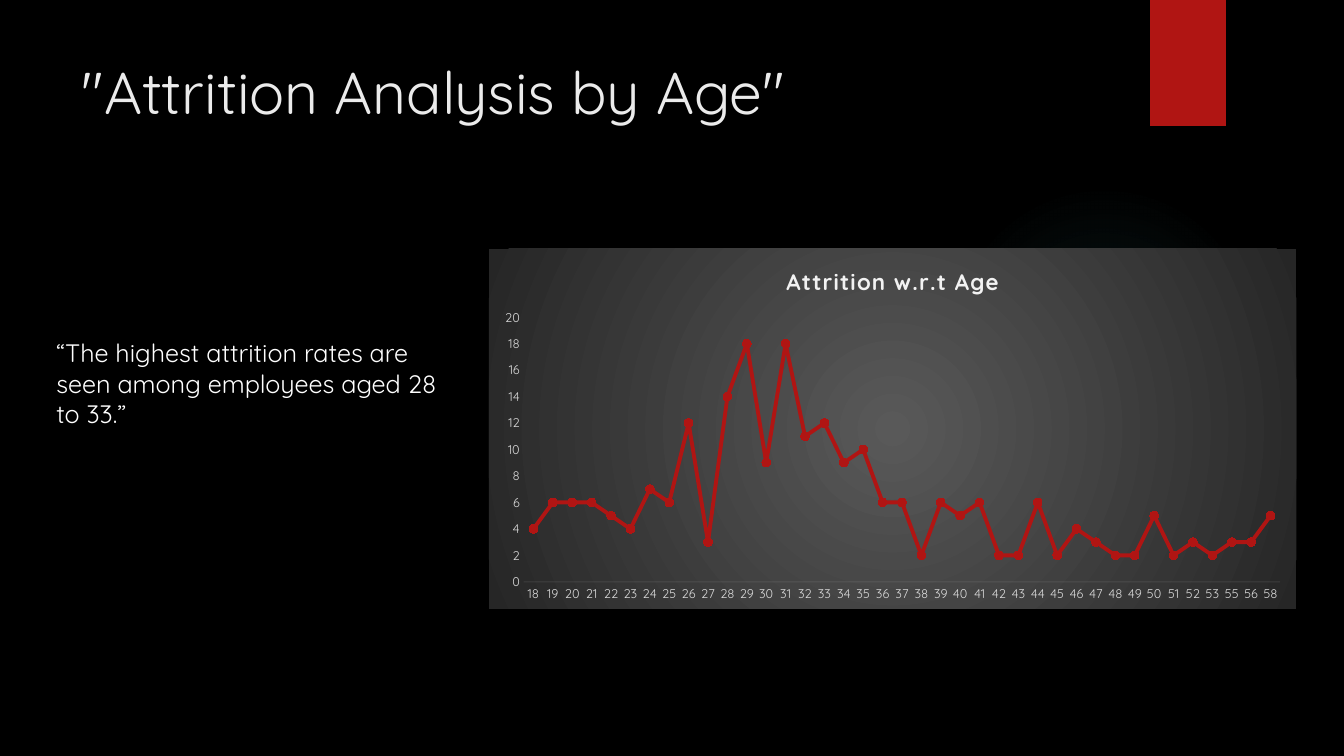
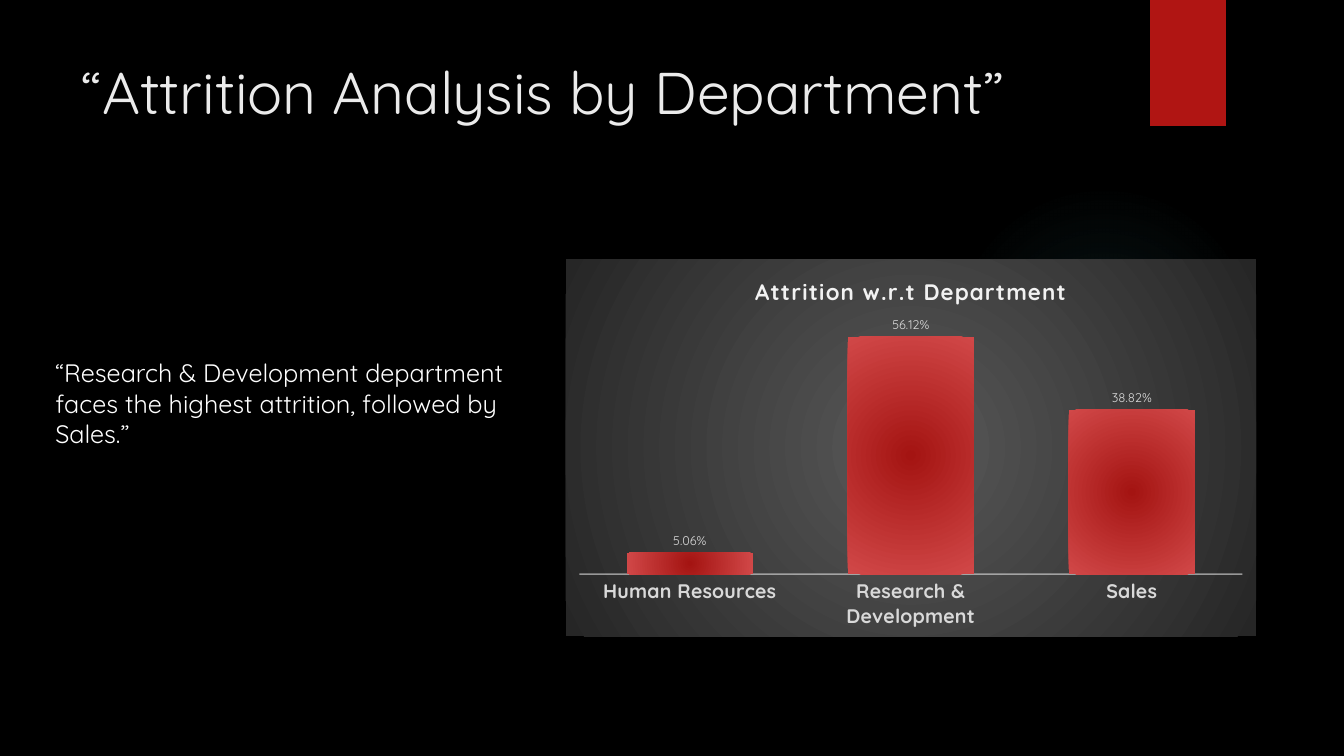
"""Build two attrition slides, each with a title, a remark and a chart."""
from lxml import etree
from pptx import Presentation
from pptx.chart.data import CategoryChartData
from pptx.dml.color import RGBColor
from pptx.enum.chart import XL_CHART_TYPE, XL_LABEL_POSITION, XL_MARKER_STYLE, XL_TICK_MARK
from pptx.enum.shapes import MSO_SHAPE
from pptx.enum.text import MSO_ANCHOR, MSO_AUTO_SIZE, PP_ALIGN
from pptx.oxml.ns import qn
from pptx.util import Inches, Pt

BLACK = RGBColor(0x00, 0x00, 0x00)
WHITE = RGBColor(0xFF, 0xFF, 0xFF)
TITLE_GREY = RGBColor(0xEB, 0xEB, 0xEB)
HEADING_GREY = RGBColor(0xF2, 0xF2, 0xF2)
LABEL_GREY = RGBColor(0xD9, 0xD9, 0xD9)
PANEL_INNER = RGBColor(0x59, 0x59, 0x59)
PANEL_OUTER = RGBColor(0x26, 0x26, 0x26)
RED = RGBColor(0xB0, 0x15, 0x13)
DARK_RED = RGBColor(0xA4, 0x14, 0x12)
LIGHT_RED = RGBColor(0xD1, 0x48, 0x48)
TEAL = RGBColor(0x50, 0xB9, 0xC1)

LINE = XL_CHART_TYPE.LINE_MARKERS
COLUMN = XL_CHART_TYPE.COLUMN_CLUSTERED
CIRCLE = XL_MARKER_STYLE.CIRCLE
NO_TICK = XL_TICK_MARK.NONE
OUTSIDE = XL_LABEL_POSITION.OUTSIDE_END
RECT, OVAL = MSO_SHAPE.RECTANGLE, MSO_SHAPE.OVAL
TOP, LEFT = MSO_ANCHOR.TOP, PP_ALIGN.LEFT
FIXED, GROW = MSO_AUTO_SIZE.NONE, MSO_AUTO_SIZE.SHAPE_TO_FIT_TEXT

FONT = "Quicksand"
TITLE_ONLY = 5
WIDTH, HEIGHT = Inches(13.33), Inches(7.5)
TITLE_BOX = (5.33, 6.67, 77.18, 20.4)
GLOW_BOX = (70.58, 24.4, 23.1, 41.07)
BAND_BOX = (85.58, 0, 5.63, 16.67)

AGES = [str(age) for age in range(18, 59) if age not in (54, 57)]
AGE_COUNTS = [4, 6, 6, 6, 5, 4, 7, 6, 12, 3, 14, 18, 9, 18, 11, 12, 9, 10, 6, 6,
              2, 6, 5, 6, 2, 2, 6, 2, 4, 3, 2, 2, 5, 2, 3, 2, 3, 3, 5]
DEPARTMENTS = ["Human Resources", "Research & Development", "Sales"]
DEPARTMENT_SHARES = [0.0506, 0.5612, 0.3882]


def set_attrs(obj, **values):
    """Set every given attribute on an object."""
    for name, value in values.items():
        setattr(obj, name, value)


def set_font(font, size, color, bold=False):
    """Apply the deck's typeface with a size, colour and weight."""
    set_attrs(font, name=FONT, size=Pt(size), bold=bold)
    font.color.rgb = color


def box(left, top, width, height):
    """Turn percentages of the slide into a rectangle."""
    return [int(WIDTH * left / 100), int(HEIGHT * top / 100),
            int(WIDTH * width / 100), int(HEIGHT * height / 100)]


def add_alpha(color, percent):
    """Make a colour element partly transparent."""
    etree.SubElement(color, qn("a:alpha")).set("val", str(percent * 1000))


def radial_gradient(stops, focus=50):
    """Return a circular gradient fill from (position, colour, opacity) stops."""
    grad = etree.Element(qn("a:gradFill"), rotWithShape="1")
    stop_list = etree.SubElement(grad, qn("a:gsLst"))
    for position, color, opacity in stops:
        gs = etree.SubElement(stop_list, qn("a:gs"), pos=str(position * 1000))
        add_alpha(etree.SubElement(gs, qn("a:srgbClr"), val=str(color)), opacity)
    route = etree.SubElement(grad, qn("a:path"))
    route.set("path", "circle")
    edges = {edge: str(focus * 1000) for edge in "ltrb"}
    etree.SubElement(route, qn("a:fillToRect"), **edges)
    return grad


def fill_radial(fill, parent, stops, focus=50):
    """Give the fill of a shape or series a circular gradient."""
    fill.background()
    no_fill = parent.find(qn("c:spPr") + "/" + qn("a:noFill"))
    if no_fill is None:
        no_fill = parent.find(qn("p:spPr") + "/" + qn("a:noFill"))
    no_fill.getparent().replace(no_fill, radial_gradient(stops, focus))


def add_plain_shape(slide, kind, area):
    """Add a preset shape without line or shadow."""
    sp = slide.shapes.add_shape(kind, *box(*area))
    sp.shadow.inherit = False
    sp.line.fill.background()
    return sp


def decorate_layout(layout, slide):
    """Place the glow, the red band and the title area on the layout."""
    glow = add_plain_shape(slide, OVAL, GLOW_BOX)
    fill_radial(glow.fill, glow._element, [(0, TEAL, 7), (36, TEAL, 6), (69, TEAL, 0)])
    band = add_plain_shape(slide, RECT, BAND_BOX)
    band.fill.solid()
    band.fill.fore_color.rgb = RED
    for number, sp in enumerate((glow, band)):
        sp._element.nvSpPr.cNvPr.set("id", str(100 + number))
        layout.shapes._spTree.insert(2 + number, sp._element)
    left, top, width, height = box(*TITLE_BOX)
    set_attrs(layout.placeholders[0], left=left, top=top, width=width, height=height)


def add_title(slide, text):
    """Fill and format the title placeholder."""
    tf = slide.shapes.title.text_frame
    set_attrs(tf, text=text, vertical_anchor=TOP, auto_size=FIXED, word_wrap=True)
    p = tf.paragraphs[0]
    p.alignment = LEFT
    set_font(p.runs[0].font, 42, TITLE_GREY)


def add_remark(slide, text, area):
    """Add the remark beside the chart."""
    tf = slide.shapes.add_textbox(*box(*area)).text_frame
    set_attrs(tf, text=text, word_wrap=True, auto_size=GROW)
    set_font(tf.paragraphs[0].runs[0].font, 18, WHITE)


def add_panel_chart(slide, kind, area, heading, categories, values):
    """Add a one-series chart with a heading on a grey gradient panel."""
    data = CategoryChartData()
    data.categories = categories
    data.add_series("Series 1", values)
    chart = slide.shapes.add_chart(kind, *box(*area), data).chart
    set_font(chart.font, 10, WHITE)
    set_attrs(chart, has_legend=False, has_title=True)
    chart.chart_title.include_in_layout = False
    tf = chart.chart_title.text_frame
    tf.text = heading
    r = tf.paragraphs[0].runs[0]
    set_font(r.font, 16, HEADING_GREY, True)
    r._r.get_or_add_rPr().set("spc", "100")
    panel = etree.Element(qn("c:spPr"))
    panel.append(radial_gradient([(0, PANEL_INNER, 100), (100, PANEL_OUTER, 100)]))
    etree.SubElement(etree.SubElement(panel, qn("a:ln")), qn("a:noFill"))
    chart._chartSpace.find(qn("c:chart")).addnext(panel)
    chart.plots[0].vary_by_categories = False
    return chart


def format_category_axis(axis, size, bold, width, opacity):
    """Style the category labels and the faint axis line."""
    set_attrs(axis, major_tick_mark=NO_TICK, has_major_gridlines=False)
    set_font(axis.tick_labels.font, size, LABEL_GREY, bold)
    line = axis.format.line
    line.width = Pt(width)
    line.color.rgb = HEADING_GREY
    add_alpha(next(axis._element.find(qn("c:spPr")).iter(qn("a:srgbClr"))), opacity)


def format_value_axis(axis, top, step, visible):
    """Set the value scale, without gridlines or line."""
    set_attrs(axis, minimum_scale=0, maximum_scale=top, major_unit=step,
              major_tick_mark=NO_TICK, has_major_gridlines=False, visible=visible)
    set_font(axis.tick_labels.font, 9, LABEL_GREY)
    axis.format.line.fill.background()


def add_age_chart(slide):
    """Add the line chart of attrition by age."""
    chart = add_panel_chart(slide, LINE, (36.38, 32.93, 60.08, 47.6),
                            "Attrition w.r.t Age", AGES, AGE_COUNTS)
    format_category_axis(chart.category_axis, 9, False, 0.75, 10)
    format_value_axis(chart.value_axis, 20, 2, True)
    series = chart.plots[0].series[0]
    series.smooth = False
    series.format.line.width = Pt(2.75)
    series.format.line.color.rgb = RED
    set_attrs(series.marker, style=CIRCLE, size=6)
    series.marker.format.fill.solid()
    series.marker.format.fill.fore_color.rgb = RED
    series.marker.format.line.fill.background()


def add_department_chart(slide):
    """Add the column chart of attrition by department."""
    chart = add_panel_chart(slide, COLUMN, (42.08, 34.27, 51.38, 49.87),
                            "Attrition w.r.t Department", DEPARTMENTS, DEPARTMENT_SHARES)
    format_category_axis(chart.category_axis, 14, True, 1, 54)
    format_value_axis(chart.value_axis, 0.6, 0.1, False)
    plot = chart.plots[0]
    set_attrs(plot, gap_width=75, has_data_labels=True)
    set_attrs(plot.data_labels, show_value=True, number_format="0.00%",
              number_format_is_linked=False, position=OUTSIDE)
    set_font(plot.data_labels.font, 9, LABEL_GREY)
    series = plot.series[0]
    fill_radial(series.format.fill, series._element,
                [(0, DARK_RED, 100), (100, LIGHT_RED, 100)], 100)


def main():
    """Build and save the presentation."""
    prs = Presentation()
    set_attrs(prs, slide_width=WIDTH, slide_height=HEIGHT)
    background = prs.slide_master.background.fill
    background.solid()
    background.fore_color.rgb = BLACK
    layout = prs.slide_layouts[TITLE_ONLY]

    age = prs.slides.add_slide(layout)
    decorate_layout(layout, age)
    add_title(age, '"Attrition Analysis by Age"')
    add_age_chart(age)
    add_remark(age, "“The highest attrition rates are seen among employees aged 28 to 33.”",
               (3.45, 44, 30.3, 13.47))

    department = prs.slides.add_slide(layout)
    add_title(department, "“Attrition Analysis by Department”")
    add_department_chart(department)
    add_remark(department, "“Research & Development department faces the highest attrition, "
               "followed by Sales.”", (3.38, 46.67, 36.9, 13.47))
    prs.save("out.pptx")


if __name__ == "__main__":
    main()
